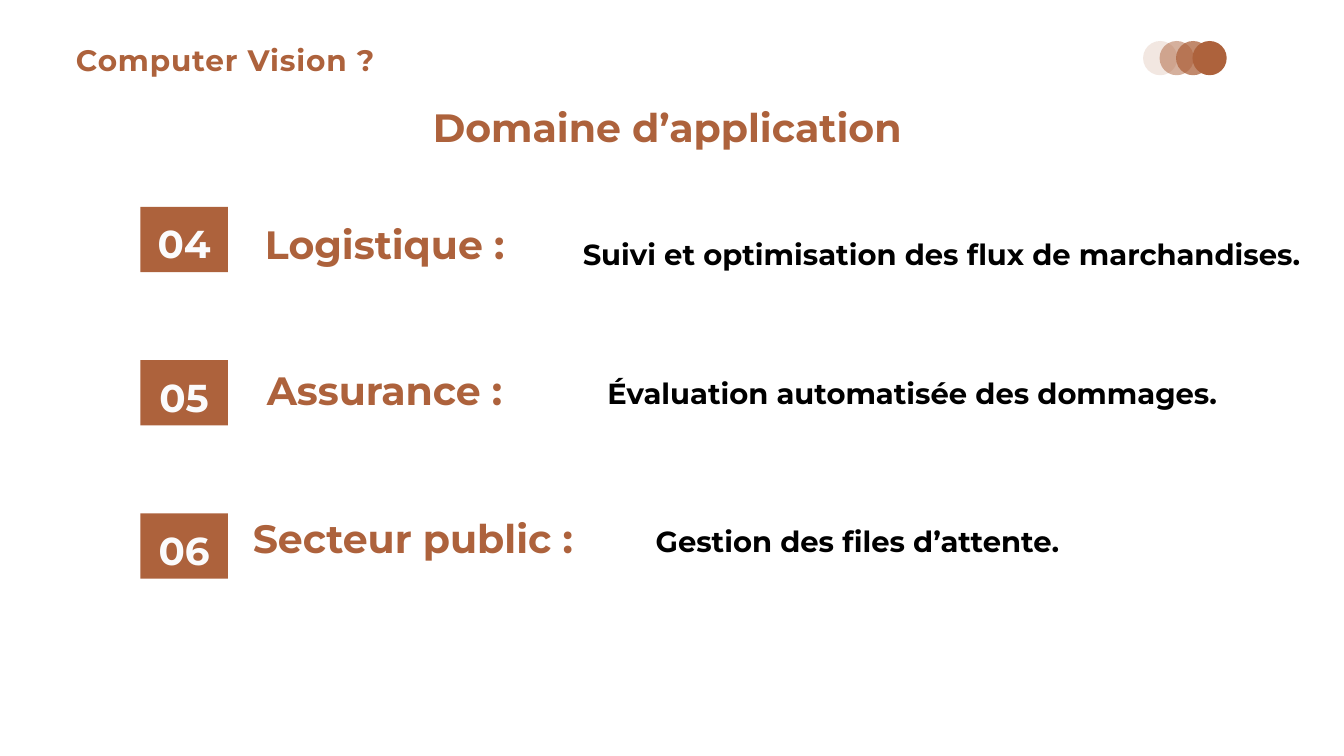
from lxml.etree import SubElement
from pptx import Presentation
from pptx.dml.color import RGBColor
from pptx.enum.shapes import MSO_SHAPE
from pptx.enum.text import MSO_AUTO_SIZE, PP_ALIGN
from pptx.oxml.ns import qn
from pptx.util import Inches, Pt

presentation = Presentation()
presentation.slide_width = Inches(20)
presentation.slide_height = Inches(11.25)
column = presentation.slide_width / 20
row = presentation.slide_height / 11.25
slide = presentation.slides.add_slide(presentation.slide_layouts[6])

RUST = "AD623C"
STYLES = {
    "header": {"size": 31.7, "color": RUST, "line": 44.3, "align": PP_ALIGN.LEFT},
    "heading": {"size": 42.3, "color": RUST, "line": 45.7, "align": PP_ALIGN.CENTER},
    "number": {"size": 41.6, "color": "FBFBFC", "line": 58.2, "align": PP_ALIGN.CENTER},
    "detail": {"size": 31.1, "color": "000000", "line": 43.5, "align": PP_ALIGN.CENTER},
}


def add_filled_shape(kind, left, top, width, height, color):
    shape = slide.shapes.add_shape(
        kind, int(left * column), int(top * row), int(width * column), int(height * row))
    shape.shadow.inherit = False
    shape.fill.solid()
    shape.fill.fore_color.rgb = RGBColor.from_string(color)
    shape.line.fill.background()
    return shape


def add_text(text, left, top, width, height, style):
    box = slide.shapes.add_textbox(
        int(left * column), int(top * row), int(width * column), int(height * row))
    frame_format = {"margin_left": 0, "margin_top": 0, "margin_right": 0,
                    "margin_bottom": 0, "word_wrap": True,
                    "auto_size": MSO_AUTO_SIZE.SHAPE_TO_FIT_TEXT}
    for name, value in frame_format.items():
        setattr(box.text_frame, name, value)
    values = STYLES[style]
    paragraph = box.text_frame.paragraphs[0]
    paragraph.alignment = values["align"]
    paragraph.line_spacing = Pt(values["line"])
    run = paragraph.add_run()
    run.text = text
    font_format = {"name": "Montserrat", "size": Pt(values["size"]), "bold": True}
    for name, value in font_format.items():
        setattr(run.font, name, value)
    run.font.color.rgb = RGBColor.from_string(values["color"])
    return run


for index, opacity in enumerate([15, 50, 75, 100]):
    circle = add_filled_shape(
        MSO_SHAPE.OVAL, 17.01 + index * 0.245, 0.61, 0.51, 0.51, RUST)
    if opacity < 100:
        color_element = circle.fill._xPr.find(qn("a:solidFill"))[0]
        SubElement(color_element, qn("a:alpha")).set("val", str(opacity * 1000))

header = add_text("Computer Vision ?", 1.13, 0.53, 4.54, 0.62, "header")
header.font._element.set("spc", "90")
add_text("Domaine d’application", 6.06, 1.61, 7.74, 0.64, "heading")

domains = [
    ("04", ("Logistique :", 3.71, 3.35, 4.03),
     ("Suivi et optimisation des flux de marchandises.", 8.27, 3.43, 11.48)),
    ("05", ("Assurance :", 3.71, 5.52, 4.03),
     ("Évaluation automatisée des dommages.", 8.27, 5.5, 10.61)),
    ("06", ("Secteur public :", 3.71, 7.72, 4.87),
     ("Gestion des files d’attente.", 8.9, 7.7, 7.72)),
]
for index, (number, heading, detail) in enumerate(domains):
    top = 3.08 + index * 2.28
    add_filled_shape(MSO_SHAPE.RECTANGLE, 2.09, top, 1.3, 0.97, RUST)
    add_text(number, 2.09, top + 0.08, 1.3, 0.81, "number")
    add_text(*heading, 0.64, "heading")
    add_text(*detail, 0.6, "detail")

presentation.save("out.pptx")
